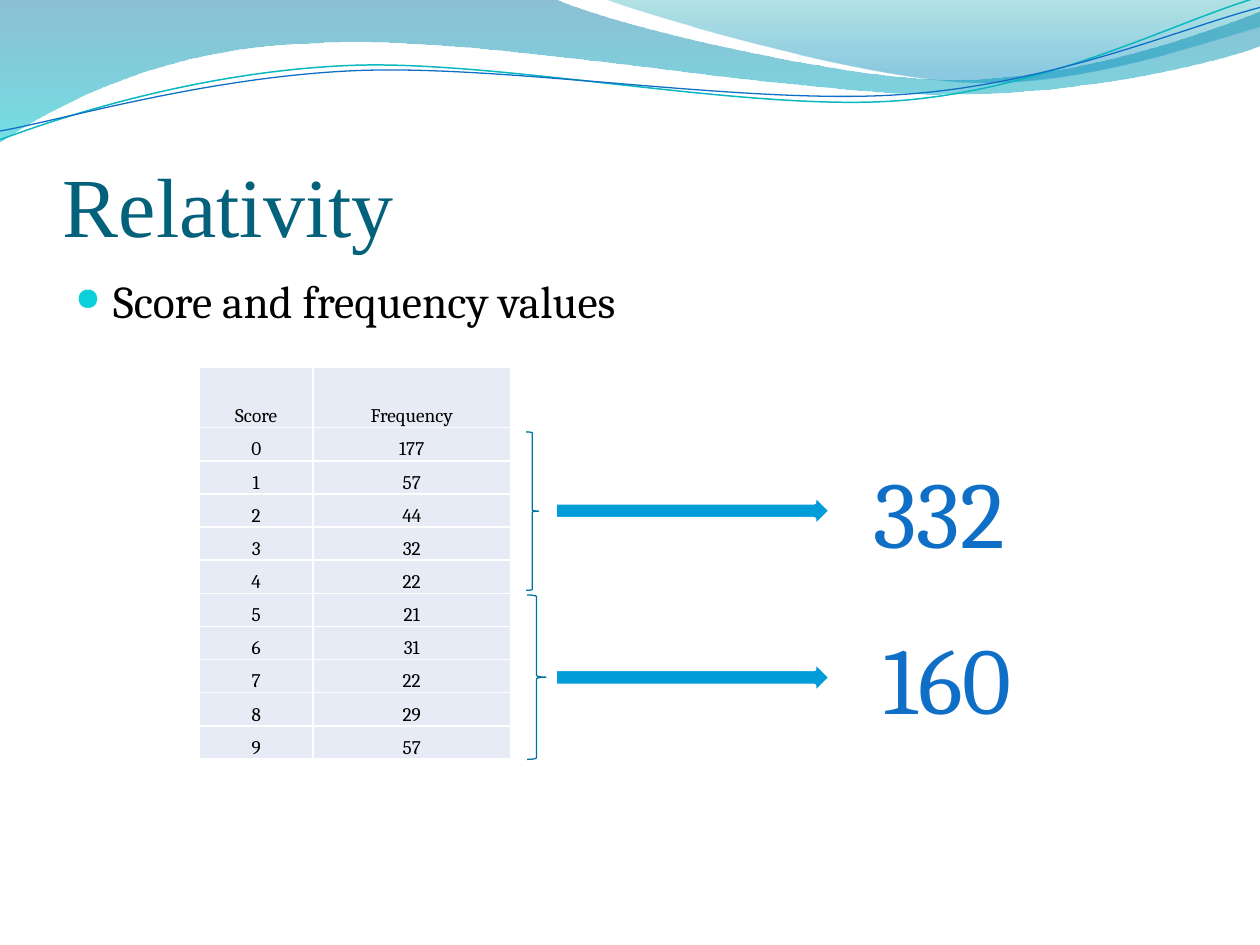
from dataclasses import dataclass

from lxml.etree import SubElement
from pptx import Presentation
from pptx.dml.color import RGBColor
from pptx.enum.shapes import MSO_SHAPE
from pptx.enum.text import MSO_ANCHOR, PP_ALIGN
from pptx.oxml.ns import qn
from pptx.util import Pt


@dataclass(frozen=True)
class Theme:
    """Colours, fonts and type sizes of the slide."""
    title: str = "04617B"
    text: str = "000000"
    bullet: str = "0BD0D9"
    total: str = "0F6FC6"
    cell: str = "E7EBF5"
    white: str = "FFFFFF"
    brace: str = "0074A1"
    arrow: str = "009DD9"
    teal_line: str = "0AB8BF"
    blue_line: str = "0F6FC6"
    deep_wave: tuple = ((0, "0074A1", 45), (1, "00C6CF", 55))
    pale_wave: tuple = ((0, "00A1A9", 30), (0.8, "008BBF", 45))
    title_font: str = "Times New Roman"
    body_font: str = "Cambria"
    title_size: int = 48
    body_size: int = 26
    cell_size: int = 11
    total_size: int = 54


THEME = Theme()

DEEP_WAVE = [(0, 0), (316.8, -0.7),
             (342.7, 12.2, 478.1, 45.4, 545.8, 45.4),
             (614.2, 45.4, 689.8, 18.7, 720, 6.5), (720.7, 25.9),
             (707.8, 31.7, 626.4, 54.7, 537.1, 54),
             (447.8, 54, 275, 20.2, 185, 24.5),
             (92.9, 25.9, 33.1, 59.8, -0.7, 81.4)]
PALE_WAVE = [(344.9, -0.7), (366.5, 7.9, 491, 44.6, 553.7, 46.8),
             (616.3, 49.7, 691.9, 23, 720, 15.1), (720, 0)]
TEAL_CURVE = [(-1.4, 62.9), (33.7, 51.6, 114, 29.4, 199.8, 29.9),
              (284.8, 30.3, 425.8, 67.2, 512.4, 64.8),
              (599, 62.4, 676.4, 25.7, 720.2, 15.6)]
BLUE_CURVE = [(-1.2, 57.9), (33, 53.7, 118.3, 32.5, 204, 33),
              (290.5, 33.5, 428.9, 63.8, 515.5, 61.3),
              (601.4, 59.6, 678.5, 30.1, 721.4, 21.3)]

FREQUENCIES = [177, 57, 44, 32, 22, 21, 31, 22, 29, 57]


def color(code):
    """Turn a hex code into a colour."""
    return RGBColor.from_string(code)


def draw_outline(slide, outline, closed):
    """Draw a freeform whose six-number segments are cubic curves."""
    start, *rest = [(Pt(segment[i]), Pt(segment[i + 1]))
                    for segment in outline for i in range(0, len(segment), 2)]
    builder = slide.shapes.build_freeform(*start)
    builder.add_line_segments(rest, close=closed)
    freeform = builder.convert_to_shape()
    freeform.shadow.inherit = False
    lines = iter(list(freeform._element.iter(qn("a:lnTo"))))
    for segment in outline[1:]:
        group = [next(lines) for _ in range(len(segment) // 2)]
        if len(group) == 3:
            curve = group[0].makeelement(qn("a:cubicBezTo"))
            group[0].addprevious(curve)
            for line in group:
                curve.append(line[0])
                line.getparent().remove(line)
    return freeform


def add_wave(slide, outline, stops):
    """Add a wave with a see-through gradient from top to bottom."""
    wave = draw_outline(slide, outline, True)
    wave.line.fill.background()
    wave.fill.gradient()
    wave.fill.gradient_angle = 270
    for stop, (position, code, _) in zip(wave.fill.gradient_stops, stops):
        stop.position = position
        stop.color.rgb = color(code)
    tints = wave._element.spPr.iter(qn("a:srgbClr"))
    for tint, (_, _, opacity) in zip(tints, stops):
        SubElement(tint, qn("a:alpha"), val=str(opacity * 1000))


def add_curve(slide, outline, code, width):
    """Add an open, slightly turned curved line."""
    curve = draw_outline(slide, outline, False)
    curve.rotation = 357.3
    curve.fill.background()
    curve.line.color.rgb = color(code)
    curve.line.width = Pt(width)


def style_text(paragraph, font, size, code):
    """Set the font of a paragraph."""
    paragraph.font.name = font
    paragraph.font.size = Pt(size)
    paragraph.font.color.rgb = color(code)


def add_text(slide, box, text, font, size, code, wrap=True):
    """Add a one-paragraph text box and return its frame."""
    frame = slide.shapes.add_textbox(*map(Pt, box)).text_frame
    frame.word_wrap = wrap
    frame.text = text
    style_text(frame.paragraphs[0], font, size, code)
    return frame


def add_title(slide, text):
    """Add the slide title."""
    frame = add_text(slide, (36, 55.4, 648, 90), text,
                     THEME.title_font, THEME.title_size, THEME.title)
    frame.vertical_anchor = MSO_ANCHOR.BOTTOM
    frame.margin_left = frame.margin_right = frame.margin_bottom = 0


def add_bullet(slide, text):
    """Add the bulleted line."""
    frame = add_text(slide, (36, 152.6, 648, 345.6), text,
                     THEME.body_font, THEME.body_size, THEME.text)
    paragraph = frame.paragraphs[0]
    paragraph.space_before = Pt(5.2)
    properties = paragraph._p.get_or_add_pPr()
    properties.set("marL", str(Pt(21.6)))
    properties.set("indent", str(-Pt(21.6)))
    tint, size, mark = [SubElement(properties, qn(tag))
                        for tag in ("a:buClr", "a:buSzPct", "a:buChar")]
    SubElement(tint, qn("a:srgbClr"), val=THEME.bullet)
    size.set("val", "70000")
    mark.set("char", "●")
    properties.append(properties.find(qn("a:defRPr")))


def fill_cell(cell, text):
    """Write one table cell with thin white borders."""
    properties = cell._tc.get_or_add_tcPr()
    for side in ("a:lnL", "a:lnR", "a:lnT", "a:lnB"):
        border = SubElement(properties, qn(side), w=str(Pt(1)))
        SubElement(SubElement(border, qn("a:solidFill")), qn("a:srgbClr"), val=THEME.white)
    cell.fill.solid()
    cell.fill.fore_color.rgb = color(THEME.cell)
    cell.margin_left = cell.margin_right = cell.margin_top = Pt(0.7)
    cell.margin_bottom = 0
    cell.vertical_anchor = MSO_ANCHOR.BOTTOM
    cell.text = text
    paragraph = cell.text_frame.paragraphs[0]
    paragraph.alignment = PP_ALIGN.CENTER
    style_text(paragraph, THEME.body_font, THEME.cell_size, THEME.text)


def add_score_table(slide):
    """Add the table of scores and frequencies."""
    rows = [("Score", "Frequency"), *enumerate(FREQUENCIES)]
    table = slide.shapes.add_table(len(rows), 2, Pt(114), Pt(210),
                                   Pt(177.8), Pt(223.9)).table
    table.first_row = table.horz_banding = False
    for column, width in zip(table.columns, (64.8, 113)):
        column.width = Pt(width)
    for index, values in enumerate(rows):
        table.rows[index].height = Pt(18.95 if index else 34.4)
        for column, value in enumerate(values):
            fill_cell(table.cell(index, column), str(value))


def add_brace(slide, box):
    """Add a brace that groups table rows."""
    brace = slide.shapes.add_shape(MSO_SHAPE.RIGHT_BRACE, *map(Pt, box))
    brace.shadow.inherit = False
    brace.fill.background()
    brace.line.color.rgb = color(THEME.brace)
    brace.line.width = Pt(0.75)


def add_arrow(slide, top):
    """Add an arrow from a brace to its total."""
    arrow = slide.shapes.add_shape(MSO_SHAPE.RIGHT_ARROW, Pt(316.8), Pt(top), Pt(158.4), Pt(20.2))
    arrow.shadow.inherit = False
    arrow.fill.solid()
    arrow.fill.fore_color.rgb = color(THEME.arrow)
    arrow.line.color.rgb = color(THEME.white)
    arrow.line.width = Pt(3)


def add_total(slide, left, top, total):
    """Add the sum of a group of frequencies."""
    frame = add_text(slide, (left, top, 105.1, 72.7), str(total),
                     THEME.body_font, THEME.total_size, THEME.total, wrap=False)
    frame.paragraphs[0].alignment = PP_ALIGN.CENTER


def main():
    """Build the slide and save it."""
    deck = Presentation()
    deck.slide_width, deck.slide_height = Pt(720), Pt(540)
    slide = deck.slides.add_slide(deck.slide_layouts[6])
    add_wave(slide, DEEP_WAVE, THEME.deep_wave)
    add_wave(slide, PALE_WAVE, THEME.pale_wave)
    add_curve(slide, TEAL_CURVE, THEME.teal_line, 0.85)
    add_curve(slide, BLUE_CURVE, THEME.blue_line, 0.75)
    add_title(slide, "Relativity")
    add_bullet(slide, "Score and frequency values")
    add_score_table(slide)
    add_brace(slide, (300.6, 246.8, 7.2, 90.6))
    add_brace(slide, (301.2, 340, 10.8, 94))
    for arrow_top in (281.8, 377):
        add_arrow(slide, arrow_top)
    add_total(slide, 484, 255.6, sum(FREQUENCIES[:5]))
    add_total(slide, 489, 350.6, sum(FREQUENCIES[5:]))
    deck.save("out.pptx")


if __name__ == "__main__":
    main()
